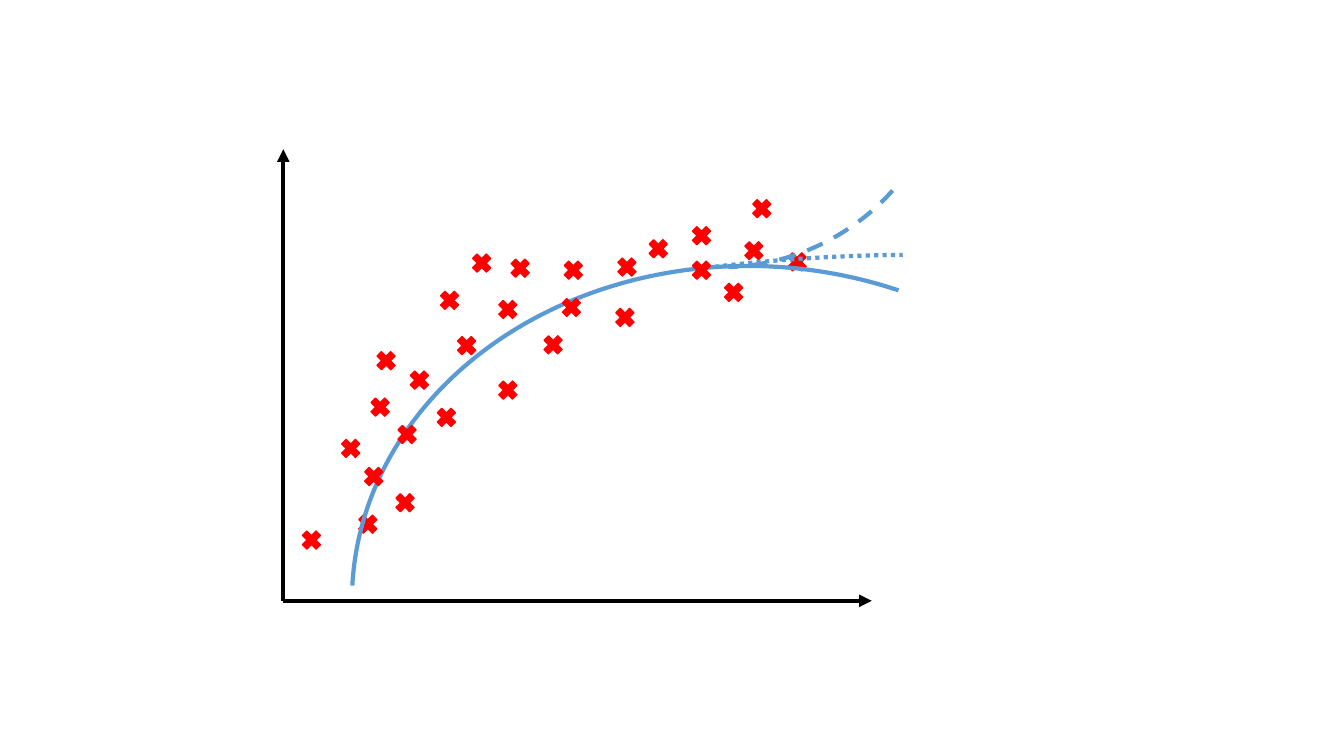
import pptx
import pptx.dml.color
import pptx.enum.dml
import pptx.enum.shapes
import pptx.oxml
import pptx.oxml.ns
import pptx.util
from pptx.util import Cm

SHAPE = pptx.enum.shapes.MSO_SHAPE
DASH = pptx.enum.dml.MSO_LINE
BLACK, RED, BLUE = "000000", "FF0000", "5B9BD5"
MARK = 0.66

# Centres of the marks, in cm from the top left of the plot
MARKS_UNDER_TREND = [
    (1.7, 7.54), (2.13, 9.45), (2.59, 5.33), (5, 2.87), (7.31, 3.05),
    (6.8, 4.93), (11.35, 3.61), (4.62, 4.95), (4.11, 6.76), (9.45, 2.51),
    (8.61, 4.24), (12.95, 2.84), (0.71, 9.85),
]
MARKS_OVER_TREND = [
    (12.06, 1.5), (5.66, 4.04), (3.43, 5.82), (4.19, 3.81), (5.97, 3),
    (7.26, 3.99), (8.66, 2.97), (10.54, 3.05), (11.86, 2.56), (3.12, 7.19),
    (2.28, 8.25), (2.44, 6.5), (5.66, 6.07), (3.07, 8.91), (10.54, 2.18),
]
# Box in cm from the top left of the plot, rotation, start and end in degrees, dash
TREND = ((3.3, 1.37, 17.2, 20.35), 273.1, (270, 21.19), DASH.SOLID)
FORECASTS = [
    ((5.43, -8.48, 11.35, 11.51), 55.5, (346.06, 33.38), DASH.DASH),
    ((7.36, -7.37, 11.58, 31.85), 265.7, (342.16, 26.96), DASH.ROUND_DOT),
]


def color(value):
    return pptx.dml.color.RGBColor.from_string(value)


def set_line(shape, value, width):
    shape.line.color.rgb = color(value)
    shape.line.width = pptx.util.Pt(width)


def add_axis(s, x1, y1, x2, y2):
    axis = s.shapes.add_connector(
        pptx.enum.shapes.MSO_CONNECTOR.STRAIGHT, Cm(x1), Cm(y1), Cm(x2), Cm(y2))
    set_line(axis, BLACK, 3)
    ns = pptx.oxml.ns.nsdecls("a")
    axis.line._get_or_add_ln().append(
        pptx.oxml.parse_xml(f'<a:tailEnd {ns} type="triangle"/>'))
    axis._element.spPr.append(pptx.oxml.parse_xml(f"<a:effectLst {ns}/>"))


def add_marks(s, left, top, centres):
    for x, y in centres:
        mark = s.shapes.add_shape(
            SHAPE.MATH_MULTIPLY, Cm(left + x - MARK / 2), Cm(top + y - MARK / 2),
            Cm(MARK), Cm(MARK))
        mark.shadow.inherit = False
        mark.fill.solid()
        mark.fill.fore_color.rgb = color(RED)
        set_line(mark, RED, 1)


def add_curve(s, left, top, box, rotation, angles, dash):
    x, y, width, height = box
    curve = s.shapes.add_shape(
        SHAPE.ARC, Cm(left + x), Cm(top + y), Cm(width), Cm(height))
    curve.shadow.inherit = False
    curve.fill.background()
    curve.rotation = rotation
    for i, angle in enumerate(angles):
        curve.adjustments[i] = angle * 0.6  # 60000 units a degree, scaled by 100000
    set_line(curve, BLUE, 3)
    curve.line.dash_style = dash


def add_scatter_plot(s, left, top, width, height):
    bottom = top + height
    add_axis(s, left, bottom, left, top)
    add_axis(s, left, bottom, left + width, bottom)
    add_marks(s, left, top, MARKS_UNDER_TREND)
    add_curve(s, left, top, *TREND)
    add_marks(s, left, top, MARKS_OVER_TREND)
    for forecast in FORECASTS:
        add_curve(s, left, top, *forecast)


def main():
    prs = pptx.Presentation()
    prs.slide_width, prs.slide_height = Cm(33.87), Cm(19.05)
    s = prs.slides.add_slide(prs.slide_layouts[6])
    add_scatter_plot(s, 7.14, 3.76, 14.83, 11.38)
    prs.save("out.pptx")


if __name__ == "__main__":
    main()
